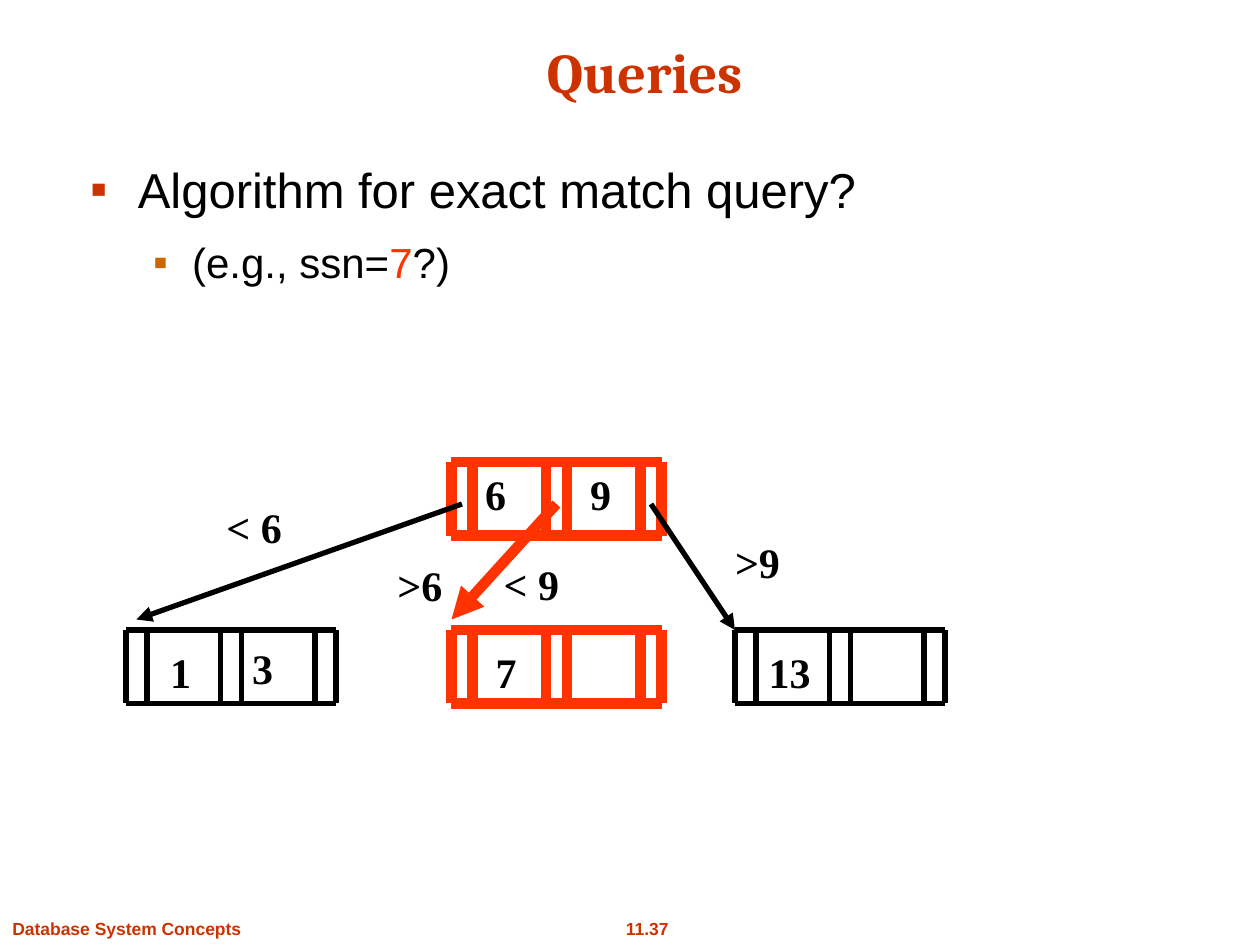
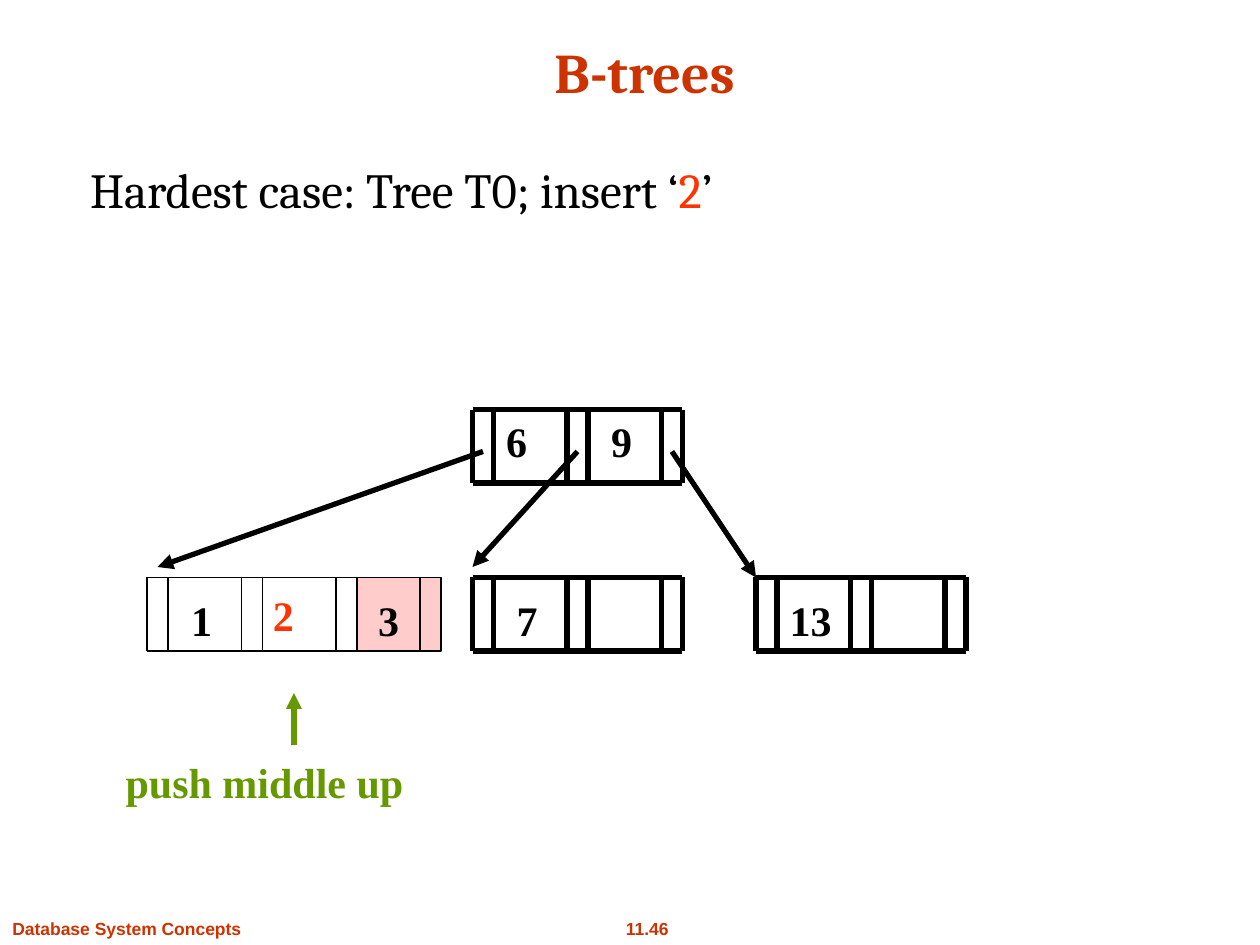
from lxml import etree
from pptx import Presentation
from pptx.dml.color import RGBColor as RGB
from pptx.enum.shapes import MSO_CONNECTOR as CONN, MSO_SHAPE as SHAPE
from pptx.enum.text import MSO_ANCHOR as ANCHOR, PP_ALIGN as ALIGN
from pptx.oxml.ns import qn
from pptx.util import Inches, Pt

C = {"title": "CC3300", "sub": "CC6600", "hot": "FF3300", "ink": "000000",
     "pink": "FFCCCC", "green": "669900"}

prs = Presentation()
prs.slide_width, prs.slide_height = Inches(10), Inches(7.5)
U = prs.slide_width // 120  # grid of 120 columns by 90 rows


def add_line(shapes, start, end, color, width, arrow=False):
    """Draw a straight line between two grid points."""
    x1, y1, x2, y2 = (round(v * U) for v in (*start, *end))
    c = shapes.add_connector(CONN.STRAIGHT, x1, y1, x2, y2)
    c.line.color.rgb = RGB.from_string(C[color])
    c.line.width = Pt(width)
    if arrow:
        etree.SubElement(c.line._get_or_add_ln(), qn("a:tailEnd"), type="triangle")
    etree.SubElement(c._element.spPr, qn("a:effectLst"))


def add_text(s, box, runs, size, font, bold=True, align=ALIGN.CENTER):
    """Put one line of (text, colour) runs in a box given in grid units."""
    tf = s.shapes.add_textbox(*(round(v * U) for v in box)).text_frame
    tf.word_wrap = True
    if align == ALIGN.CENTER:
        tf.margin_left = tf.margin_right = 0
    p = tf.paragraphs[0]
    p.alignment = align
    p.font.size, p.font.name, p.font.bold = Pt(size), font, bold
    for text, color in runs:
        r = p.add_run()
        r.text = text
        r.font.color.rgb = RGB.from_string(C[color])
    return tf


SERIF = "Times New Roman"
NODE_W, NODE_H = 20, 7
NODE_BARS = (0, 2, 9, 11, 18, 20)
BLACK, RED, THIN = ("ink", 3), ("hot", 6), ("ink", 1)

# Tree positions are relative to the top left corner of the root
NODES = {"root": (0, 0), "left": (-31, 16), "middle": (0, 16), "right": (27, 16)}
ARROWS = {"left": ((1, 4), (-30, 15)), "middle": ((10, 4), (0, 15)),
          "right": ((19, 4), (27, 16))}
KEYS = [("6", 2, 0, 4.4), ("9", 12, 0, 4.4), ("1", -28, 17, 4.4),
        ("7", 3, 17, 4.4), ("13", 29, 17, 6.4)]

pages = [
    dict(title="Queries", number="11.37", root=(43, 44), second_key=("3", "ink"),
         styles={"root": RED, "middle": RED}, arrows={"middle": RED}),
    dict(title="B-trees", number="11.46", root=(45, 39), second_key=("2", "hot"),
         styles={"left": THIN}, arrows={}),
]

slides = []
for page in pages:
    s = prs.slides.add_slide(prs.slide_layouts[6])
    slides.append(s)
    add_text(s, (58.3, 86.8, 6.7, 3.2), [(page["number"], "title")], 10, "Arial")
    add_text(s, (0, 86.8, 30, 3.2), [("Database System Concepts", "title")], 10, "Arial",
             align=ALIGN.LEFT)
    tf = add_text(s, (8.4, 2.6, 106, 8), [(page["title"], "title")], 32, "Cambria")
    tf.vertical_anchor = ANCHOR.BOTTOM

    x0, y0 = page["root"]
    for name, (dx, dy) in NODES.items():
        style = page["styles"].get(name, BLACK)
        x, y = x0 + dx, y0 + dy
        group = s.shapes.add_group_shape().shapes
        for bar in NODE_BARS:
            add_line(group, (x + bar, y), (x + bar, y + NODE_H), *style)
        for edge in (y, y + NODE_H):
            add_line(group, (x, edge), (x + NODE_W, edge), *style)
    for name, ends in ARROWS.items():
        start, end = ((x0 + dx, y0 + dy) for dx, dy in ends)
        add_line(s.shapes, start, end, *page["arrows"].get(name, BLACK), arrow=True)
    for key, dx, dy, w in KEYS:
        add_text(s, (x0 + dx, y0 + dy, w, 6), [(key, "ink")], 24, SERIF)
    add_text(s, (x0 - 20.2, y0 + 16.6, 4.4, 6), [page["second_key"]], 24, SERIF)

queries, btrees = slides

# Queries: bulleted question and the conditions on the branches
tf = add_text(queries, (7.4, 14.6, 103, 64), [("Algorithm for exact match query?", "ink")],
              28, "Arial", bold=False, align=ALIGN.LEFT)
p = tf.add_paragraph()
p.level = 1
p.space_before = Pt(10.5)
for text, color in (("(e.g., ssn=", "ink"), ("7", "hot"), ("?)", "ink")):
    r = p.add_run()
    r.text = text
    r.font.color.rgb = RGB.from_string(C[color])
p.font.size, p.font.name = Pt(24), "Arial"
for p, left, hang, color in zip(tf.paragraphs, (0.38, 0.81), (0.38, 0.31), ("title", "sub")):
    pPr = p._p.get_or_add_pPr()
    pPr.set("marL", str(Inches(left)))
    pPr.set("indent", str(-Inches(hang)))
    bullet = [etree.Element(qn("a:buClr")), etree.Element(qn("a:buFont"), typeface="Arial"),
              etree.Element(qn("a:buChar"), char="▪")]
    etree.SubElement(bullet[0], qn("a:srgbClr"), val=C[color])
    at = pPr.index(pPr.find(qn("a:defRPr")))
    pPr[at:at] = bullet

for text, x, y, w in (("< 6", 20.3, 47.2, 7.8), (">6", 35.3, 52.7, 9.4),
                      ("< 9", 46.7, 52.6, 7.8), (">9", 68.8, 50.5, 6.7)):
    add_text(queries, (x, y, w, 6), [(text, "ink")], 24, SERIF)

# B-trees: the overflowing leaf and its middle key
add_text(btrees, (7.4, 14.6, 103, 9.5),
         [("Hardest case: Tree T0; insert ‘", "ink"), ("2", "hot"), ("’", "ink")],
         28, "Cambria", bold=False, align=ALIGN.LEFT)
overflow = btrees.shapes.add_shape(SHAPE.RECTANGLE, 34 * U, 55 * U, 8 * U, NODE_H * U)
overflow.shadow.inherit = False
overflow.fill.solid()
overflow.fill.fore_color.rgb = RGB.from_string(C["pink"])
overflow.line.color.rgb = RGB.from_string(C["ink"])
overflow.line.width = Pt(1)
add_line(btrees.shapes, (40, 62), (40, 55), *THIN)
add_text(btrees, (34, 56, 6, 6), [("3", "ink")], 24, SERIF)
add_line(btrees.shapes, (28, 71), (28, 66), "green", 3, arrow=True)
add_text(btrees, (10.7, 71.5, 29, 6), [("push middle up", "green")], 24, SERIF)

prs.save("out.pptx")
